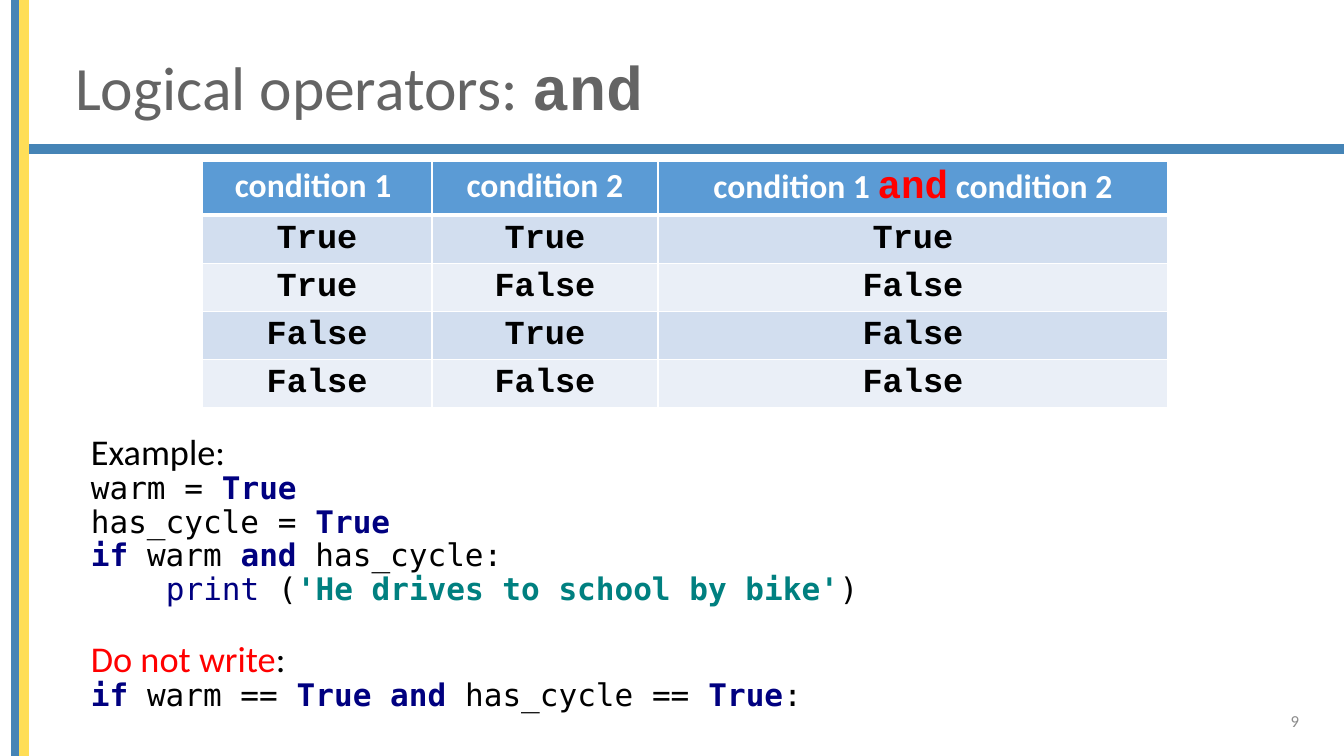
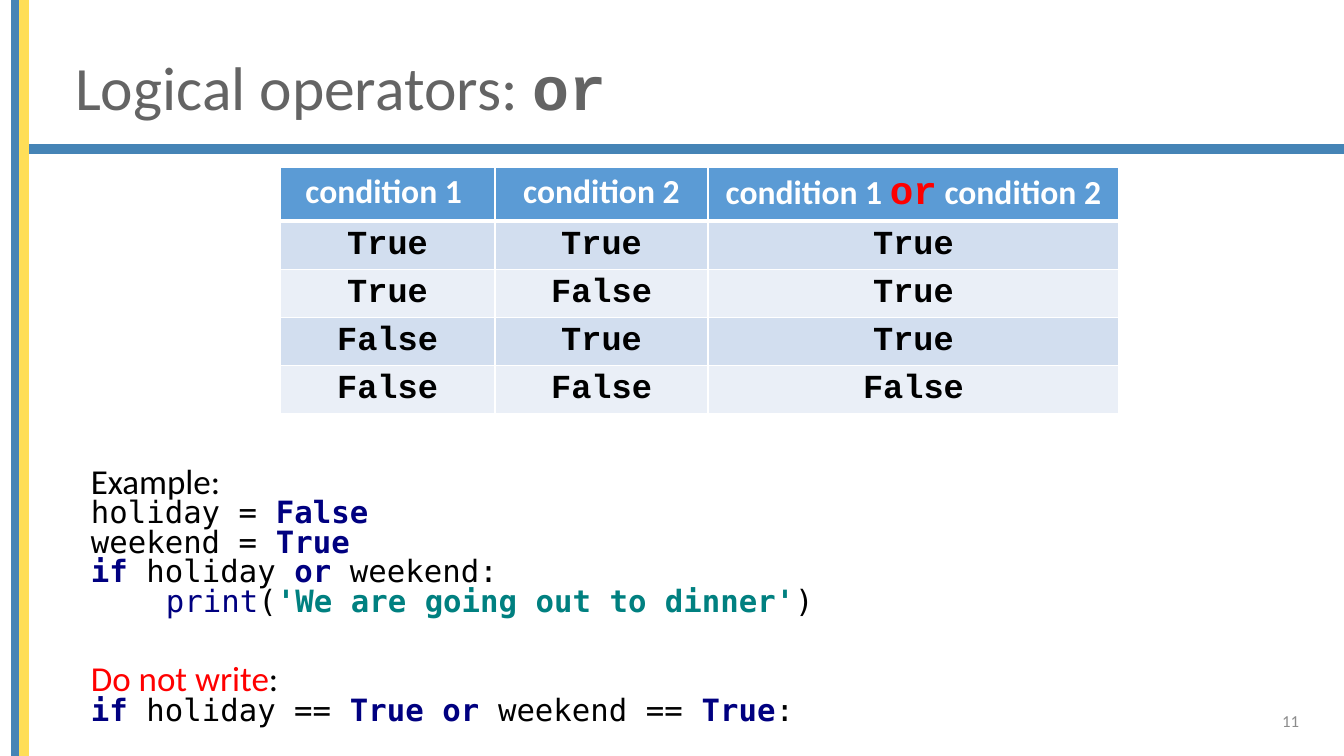
from dataclasses import dataclass
from itertools import product

from lxml.etree import SubElement
from pptx import Presentation
from pptx.dml.color import RGBColor
from pptx.enum.shapes import MSO_SHAPE as Shape
from pptx.enum.text import MSO_ANCHOR as Anchor, MSO_AUTO_SIZE as AutoSize, PP_ALIGN as Align
from pptx.oxml.ns import qn
from pptx.util import Pt

PIXEL = 914400 / 100.8


@dataclass(frozen=True)
class Theme:
    body: str = "Calibri"
    table_code: str = "Courier New"
    listing: str = "DejaVu Sans Mono"
    blue: str = "4584B6"
    yellow: str = "FFDE57"
    title: str = "646464"
    number: str = "8C8C8C"
    black: str = "000000"
    white: str = "FFFFFF"
    red: str = "FF0000"
    navy: str = "000080"
    teal: str = "008080"
    header: str = "5B9BD5"
    stripes: tuple = ("D2DEEF", "EAEFF7")
    title_size: float = 44
    operator_size: float = 28
    table_size: float = 24
    number_size: float = 12


theme = Theme()

# Format of each kind of token in the code example
tokens = {
    "plain": dict(font=theme.listing, color=theme.black),
    "keyword": dict(font=theme.listing, color=theme.navy, bold=True),
    "call": dict(font=theme.listing, color=theme.navy),
    "string": dict(font=theme.listing, color=theme.teal, bold=True),
    "label": dict(font=theme.body, color=theme.black),
    "warning": dict(font=theme.body, color=theme.red),
}

lessons = [
    dict(operator="and", combine=all, number="9",
         names=("warm", "has_cycle"), values=("True", "True"),
         call="print ", message="'He drives to school by bike'",
         table=(202, 161), columns=(230, 226, 510), box=(81, 433, 1228, 307),
         label_size=25.9, code_size=22.2, spacing=(0.8, 0.9), gap=24),
    dict(operator="or", combine=any, number="11",
         names=("holiday", "weekend"), values=("False", "True"),
         call="print", message="'We are going out to dinner'",
         table=(280, 167), columns=(215, 213, 411), box=(81, 466, 1228, 290),
         label_size=25, code_size=21.9, spacing=(0.7, 0.8), gap=33),
]


def px(*lengths):
    return [round(length * PIXEL) for length in lengths]


def write(para, text, font=theme.body, size=theme.table_size, color=theme.black, bold=False):
    span = para.add_run()
    span.text = text
    span.font.name = font
    span.font.size = Pt(size)
    span.font.bold = bold
    span.font.color.rgb = RGBColor.from_string(color)


# Deck and pages
deck = Presentation()
deck.slide_width, deck.slide_height = px(1344, 756)
layout = deck.slide_layouts[5]
pages = [deck.slides.add_slide(layout) for lesson in lessons]

# Shared title position and bands, kept on the layout
heading = layout.placeholders[0]
heading.left, heading.top, heading.width, heading.height = px(65, 40, 1187, 102)
bands = [
    ((19, 145, 1325, 8), theme.blue),
    ((12, 0, 8, 756), theme.blue),
    ((20, 0, 8, 756), theme.yellow),
]
for index, (place, color) in enumerate(bands):
    band = pages[0].shapes.add_shape(Shape.RECTANGLE, *px(*place))
    band.shadow.inherit = False
    band.fill.solid()
    band.fill.fore_color.rgb = RGBColor.from_string(color)
    band.line.color.rgb = RGBColor.from_string(color)
    band.line.width = Pt(1)
    band.element.nvSpPr.cNvPr.id = 20 + index
    layout.shapes.element.insert(2 + index, band.element)

for page, lesson in zip(pages, lessons):
    operator = lesson["operator"]

    # Title
    frame = page.shapes.title.text_frame
    frame.auto_size = AutoSize.NONE
    frame.vertical_anchor = Anchor.MIDDLE
    para = frame.paragraphs[0]
    para.alignment = Align.LEFT
    para.line_spacing = 0.9
    write(para, "Logical operators: ", size=theme.title_size, color=theme.title)
    write(para, operator, font=theme.table_code, size=theme.title_size,
          color=theme.title, bold=True)

    # Truth table
    head = dict(color=theme.white, bold=True)
    accent = dict(font=theme.table_code, size=theme.operator_size, color=theme.red, bold=True)
    value = dict(font=theme.table_code, bold=True)
    rows = [[
        [("condition 1 ", head)],
        [("condition 2", head)],
        [("condition 1 ", head), (operator, accent), (" condition 2", head)],
    ]]
    for pair in product((True, False), repeat=2):
        rows.append([[(str(item), value)] for item in (*pair, lesson["combine"](pair))])
    heights = [53] + [48] * 4
    table = page.shapes.add_table(
        len(rows), 3, *px(*lesson["table"], sum(lesson["columns"]), sum(heights))).table
    for column, width in zip(table.columns, px(*lesson["columns"])):
        column.width = width
    for row, height in zip(table.rows, px(*heights)):
        row.height = height
    for row_index, row in enumerate(rows):
        fill = theme.stripes[(row_index - 1) % 2] if row_index else theme.header
        for column_index, spans in enumerate(row):
            cell = table.cell(row_index, column_index)
            cell.margin_left, cell.margin_right, cell.margin_top, cell.margin_bottom = px(17, 17, 5, 5)
            cell.fill.solid()
            cell.fill.fore_color.rgb = RGBColor.from_string(fill)
            para = cell.text_frame.paragraphs[0]
            para.alignment = Align.CENTER
            for text, style in spans:
                write(para, text, **style)
            # White borders, heavier below the header
            properties = cell._tc.get_or_add_tcPr()
            for place, side in enumerate(("lnL", "lnR", "lnT", "lnB")):
                heavy = (row_index, side) in ((0, "lnB"), (1, "lnT"))
                border = SubElement(properties, qn("a:" + side), w=str(Pt(3 if heavy else 1)))
                paint = SubElement(border, qn("a:solidFill"))
                SubElement(paint, qn("a:srgbClr"), val=theme.white)
                properties.insert(place, border)

    # Code example
    first, second = lesson["names"]
    lines = [[("Example:", "label")]]
    for name, state in zip(lesson["names"], lesson["values"]):
        lines.append([(name + " = ", "plain"), (state, "keyword")])
    lines += [
        [("if ", "keyword"), (first + " ", "plain"), (operator + " ", "keyword"),
         (second + ":", "plain")],
        [(lesson["call"], "call"), ("(", "plain"), (lesson["message"], "string"), (")", "plain")],
        [("Do not write", "warning"), (":", "label")],
        [("if ", "keyword"), (first + " == ", "plain"), (f"True {operator} ", "keyword"),
         (second + " == ", "plain"), ("True", "keyword"), (":", "plain")],
    ]
    frame = page.shapes.add_textbox(*px(*lesson["box"])).text_frame
    frame.word_wrap = True
    label_spacing, code_spacing = lesson["spacing"]
    for index, line in enumerate(lines):
        para = frame.add_paragraph() if index else frame.paragraphs[0]
        para.line_spacing = code_spacing if index else label_spacing
        kinds = [kind for text, kind in line]
        if "warning" in kinds:
            para.space_before = Pt(lesson["gap"])
        if "call" in kinds:
            para._p.get_or_add_pPr().set("marL", str(px(75)[0]))
        for text, kind in line:
            size = lesson["label_size" if kind in ("label", "warning") else "code_size"]
            write(para, text, size=size, **tokens[kind])

    # Page number
    frame = page.shapes.add_textbox(*px(1007, 701, 302, 40)).text_frame
    frame.word_wrap = True
    frame.vertical_anchor = Anchor.MIDDLE
    para = frame.paragraphs[0]
    para.alignment = Align.RIGHT
    write(para, lesson["number"], size=theme.number_size, color=theme.number)

deck.save("out.pptx")
